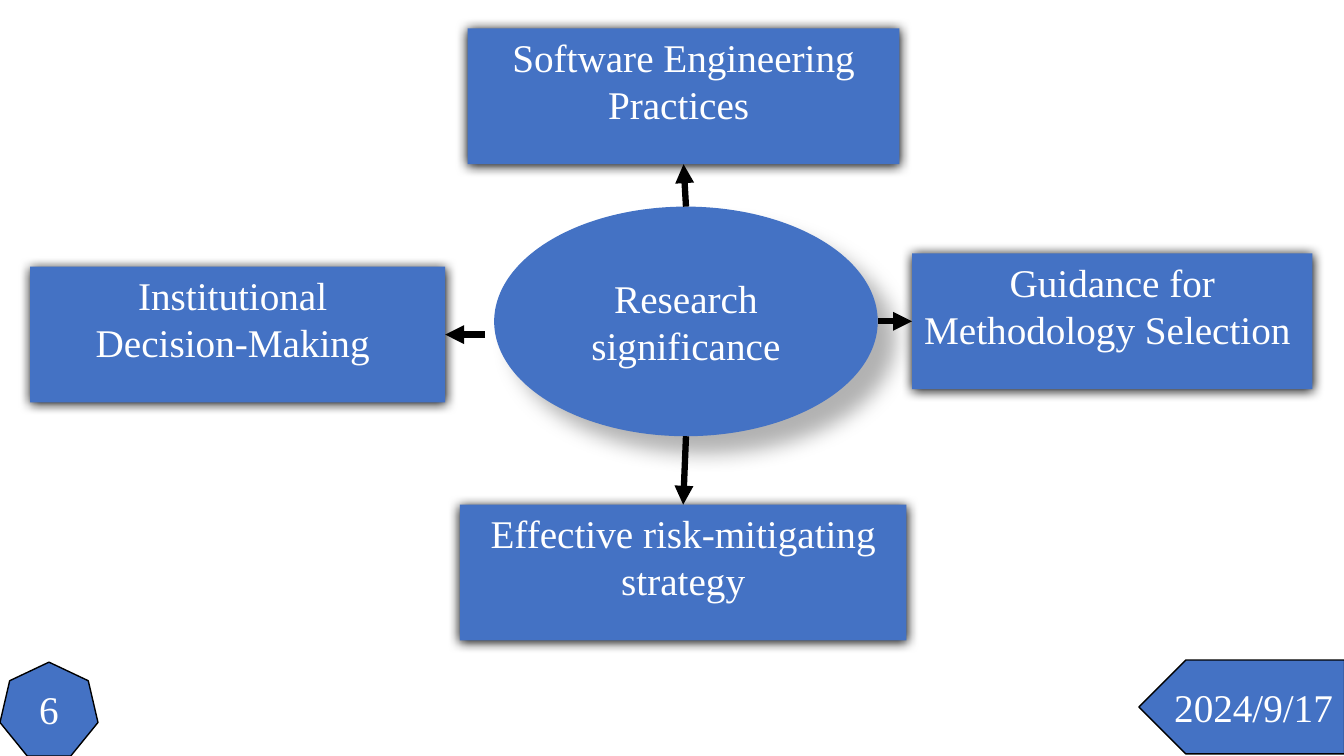
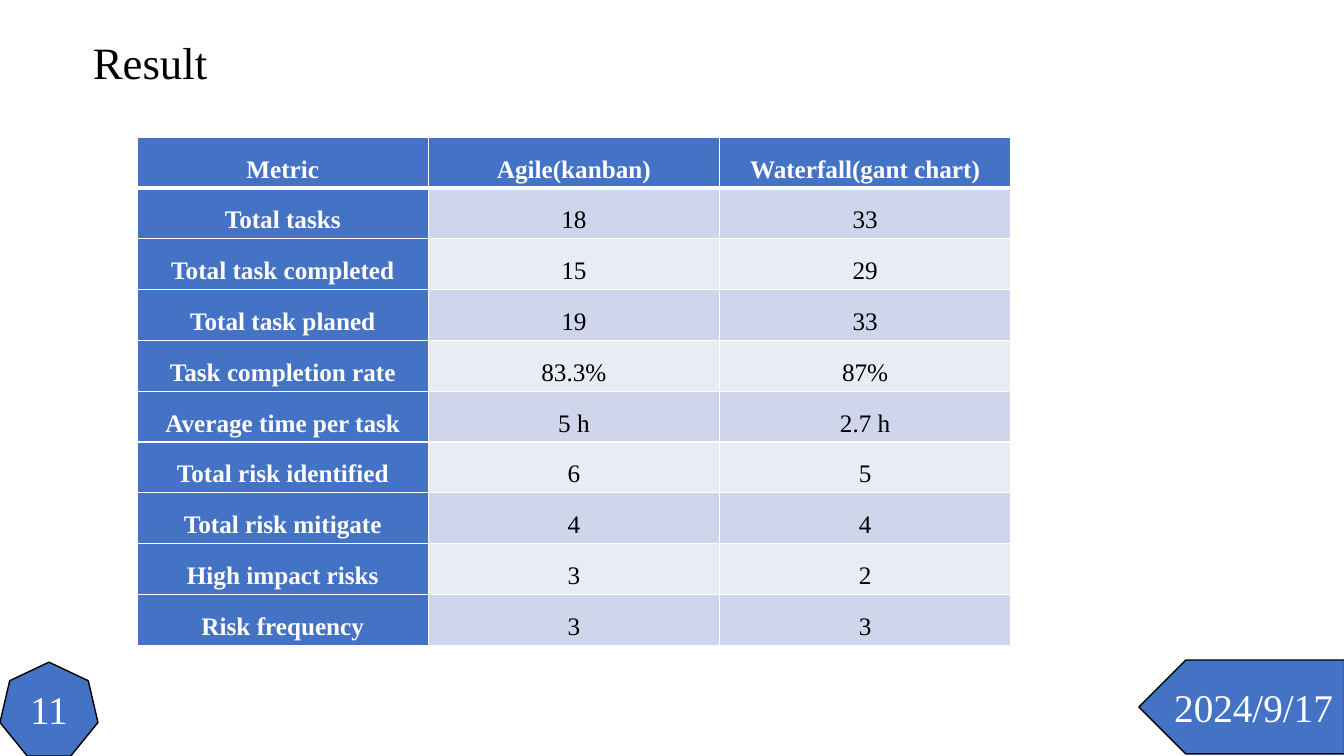
from lxml import etree
from pptx import Presentation
from pptx import util as u
from pptx.dml.color import RGBColor
from pptx.enum import shapes, text
from pptx.oxml import ns

Pt = u.Pt
SHAPE = shapes.MSO_SHAPE
COLORS = {"blue": "4472C4", "band": "CFD5EA", "pale": "E9EBF5", "white": "FFFFFF", "black": "000000"}
BOX_SHADOW = (100, 8.5, 1, 90)
HUB_SHADOW = (30, 15, 18, 45)
RESULTS = [
    ("Metric", "Agile(kanban)", "Waterfall(gant chart)"),
    ("Total tasks", "18", "33"),
    ("Total task completed", "15", "29"),
    ("Total task planed", "19", "33"),
    ("Task completion rate", "83.3%", "87%"),
    ("Average time per task", "5 h", "2.7 h"),
    ("Total risk identified", "6", "5"),
    ("Total risk mitigate", "4", "4"),
    ("High impact risks", "3", "2"),
    ("Risk frequency", "3", "3"),
]


def sub(parent, tag, **attrs):
    return etree.SubElement(parent, ns.qn(tag), {k: str(v) for k, v in attrs.items()})


def rgb(name):
    return RGBColor.from_string(COLORS[name])


class Deck:
    """Holds the shared style and the slide being built."""

    font = "Times New Roman"

    def __init__(self):
        self.prs = Presentation()
        self.prs.slide_width, self.prs.slide_height = Pt(960), Pt(540)
        self.s = None

    def slide(self, number):
        self.s = self.prs.slides.add_slide(self.prs.slide_layouts[6])
        date = self.shape(SHAPE.PENTAGON, (813.5, 471.5, 147, 67), "2024/9/17", line=True)
        date.rotation = 180
        date._element.spPr.find(ns.qn("a:xfrm")).set("flipV", "1")
        self.shape(SHAPE.HEPTAGON, (0, 473, 70, 67), str(number), line=True)

    def put_text(self, tf, content, size, color, bold=False, spacing=None):
        tf.text = content
        for p in tf.paragraphs:
            p.alignment = text.PP_ALIGN.CENTER
            p.line_spacing = spacing
            p.font.name, p.font.size, p.font.bold = self.font, Pt(size), bold
            p.font.color.rgb = rgb(color)

    def shape(self, kind, box, content, line=False, shadow=None, anchor=text.MSO_ANCHOR.MIDDLE):
        sp = self.s.shapes.add_shape(kind, *map(Pt, box))
        sp.fill.solid()
        sp.fill.fore_color.rgb = rgb("blue")
        if line:
            sp.line.color.rgb = rgb("black")
            sp.line.width = Pt(1)
        else:
            sp.line.fill.background()
        sp.shadow.inherit = False
        if shadow:
            self.cast(sp, *shadow)
        tf = sp.text_frame
        tf.word_wrap = True
        tf.vertical_anchor = anchor
        self.put_text(tf, content, 28, "white")
        return sp

    def cast(self, sp, alpha, blur, dist, angle):
        effects = sp._element.spPr.find(ns.qn("a:effectLst"))
        shadow = sub(effects, "a:outerShdw", blurRad=Pt(blur), dist=Pt(dist),
                     dir=angle * 60000, algn="ctr", rotWithShape=0)
        color = sub(shadow, "a:srgbClr", val=COLORS["black"])
        sub(color, "a:alpha", val=alpha * 1000)

    def box(self, box, content):
        return self.shape(SHAPE.RECTANGLE, box, content, shadow=BOX_SHADOW, anchor=text.MSO_ANCHOR.TOP)

    def arrow(self, x, y, target, site):
        c = self.s.shapes.add_connector(shapes.MSO_CONNECTOR.STRAIGHT, Pt(x), Pt(y), Pt(x), Pt(y))
        c.end_connect(target, site)
        c.line.color.rgb = rgb("black")
        c.line.width = Pt(4.5)
        sp_pr = c._element.spPr
        sub(sp_pr.find(ns.qn("a:ln")), "a:tailEnd", type="triangle")
        sub(sp_pr, "a:effectLst")

    def title(self, content):
        tf = self.s.shapes.add_textbox(Pt(0), Pt(21.5), Pt(214.5), Pt(67.5)).text_frame
        tf.word_wrap = True
        self.put_text(tf, content, 32, "black")

    def border(self, cell, **widths):
        tc_pr = cell._tc.get_or_add_tcPr()
        for i, side in enumerate("LRTB"):
            ln = etree.Element(ns.qn(f"a:ln{side}"), w=str(Pt(widths.get(side, 1))))
            sub(sub(ln, "a:solidFill"), "a:srgbClr", val=COLORS["white"])
            tc_pr.insert(i, ln)

    def table(self, rows, left, top, col_width, row_height):
        n, m = len(rows), len(rows[0])
        tbl = self.s.shapes.add_table(n, m, Pt(left), Pt(top), Pt(col_width * m), Pt(row_height * n)).table
        for col in tbl.columns:
            col.width = Pt(col_width)
        for i, values in enumerate(rows):
            tbl.rows[i].height = Pt(row_height)
            for j, value in enumerate(values):
                cell = tbl.cell(i, j)
                head = i == 0 or j == 0
                cell.fill.solid()
                cell.fill.fore_color.rgb = rgb("blue" if head else "band" if i % 2 else "pale")
                cell.margin_left = cell.margin_right = Pt(5)
                cell.margin_top = cell.margin_bottom = 0
                cell.vertical_anchor = text.MSO_ANCHOR.MIDDLE
                self.put_text(cell.text_frame, value, 18, "white" if head else "black", head, 1.5)
                self.border(cell, B=3 if i == 0 else 1, T=3 if i == 1 else 1)


def main():
    d = Deck()

    d.slide(6)
    d.shape(SHAPE.OVAL, (353, 147.6, 274, 164), "Research significance", shadow=HUB_SHADOW)
    bottom = d.box((328.5, 360.5, 319, 97), "Effective risk-mitigating strategy")
    left = d.box((21.5, 190.5, 296.5, 97), "Institutional \nDecision-Making ")
    top = d.box((334, 20.3, 308.5, 97), "Software Engineering Practices ")
    right = d.box((651.5, 181, 286, 97), "Guidance for Methodology Selection ")
    d.arrow(627, 229.5, right, 1)
    d.arrow(490, 311.6, bottom, 0)
    d.arrow(490, 147.6, top, 2)
    d.arrow(346.5, 239, left, 3)

    d.slide(11)
    d.title("Result")
    d.table(RESULTS, 98, 98, 208, 36.3)

    d.prs.save("out.pptx")


if __name__ == "__main__":
    main()
